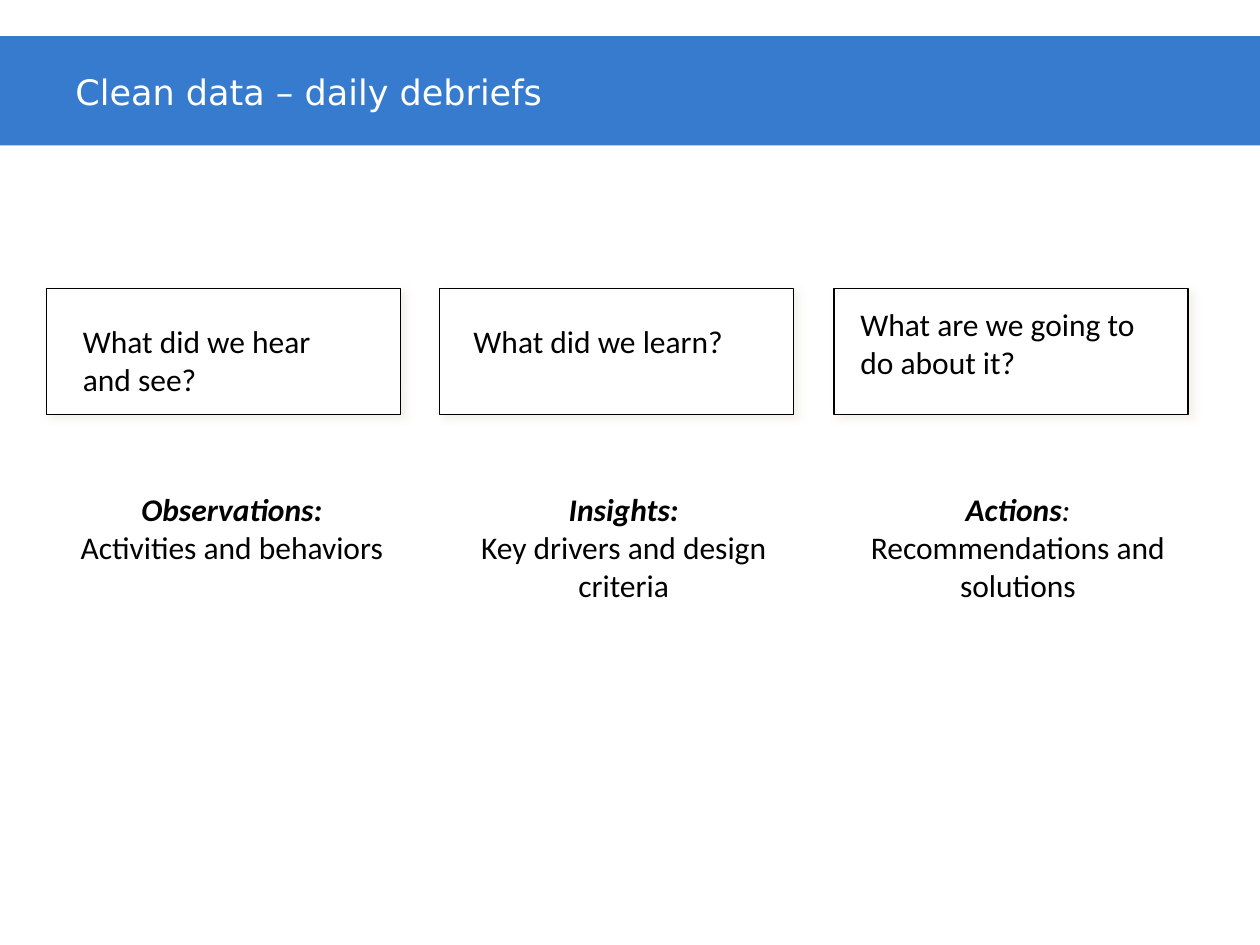
from lxml import etree
from pptx import Presentation
from pptx.dml.color import RGBColor
from pptx.enum import shapes, text
from pptx.oxml import ns
from pptx.util import Pt

COLORS = {"banner": "367BCE", "paper": "FFFFFF", "ink": "000000", "shadow": "EEECE1"}

COLUMNS = [
    {"card": 26.6, "question": "What did we hear and see?",
     "question_box": (40.3, 180.7, 160.6, 51),
     "heading": [("Observations:", True)], "detail": "Activities and behaviors",
     "answer": 38.2},
    {"card": 251.3, "question": "What did we learn?",
     "question_box": (263.5, 180.7, 189.4, 29),
     "heading": [("Insights:", True)], "detail": "Key drivers and design criteria",
     "answer": 262.1},
    {"card": 476.6, "question": "What are we going to do about it?",
     "question_box": (484.6, 170.6, 189.4, 51),
     "heading": [("Actions", True), (":", False)],
     "detail": "Recommendations and solutions", "answer": 487.4},
]


def color(name):
    return RGBColor.from_string(COLORS[name])


def add_panel(slide, box, fill):
    panel = slide.shapes.add_shape(shapes.MSO_SHAPE.RECTANGLE, *map(Pt, box))
    panel.shadow.inherit = False
    panel.fill.solid()
    panel.fill.fore_color.rgb = color(fill)
    panel.line.fill.background()
    return panel


def add_card(slide, left):
    card = add_panel(slide, (left, 164.9, 202.3, 72), "paper")
    card.line.color.rgb = color("ink")
    card.line.width = Pt(0.75)
    effects = card._element.spPr.find(ns.qn("a:effectLst"))
    shadow = etree.SubElement(
        effects, ns.qn("a:outerShdw"), blurRad=str(Pt(5)), dist=str(Pt(3)),
        dir="2700000", algn="tl", rotWithShape="0")
    tint = etree.SubElement(shadow, ns.qn("a:srgbClr"), val=COLORS["shadow"])
    etree.SubElement(tint, ns.qn("a:alpha"), val="75000")


def style_run(run, size=18, face="Calibri", ink="ink", bold=False, italic=False):
    run.font.size = Pt(size)
    run.font.name = face
    run.font.color.rgb = color(ink)
    run.font.bold = bold
    run.font.italic = italic


def add_label(slide, box):
    frame = slide.shapes.add_textbox(*map(Pt, box)).text_frame
    frame.word_wrap = True
    return frame


def add_title(slide, wording):
    title = add_label(slide, (36, 21.6, 648, 61.2))
    title.vertical_anchor = text.MSO_ANCHOR.MIDDLE
    title.text = wording
    style_run(title.paragraphs[0].runs[0], 20, "DejaVu Sans", "paper")


def add_question(slide, box, wording):
    question = add_label(slide, box)
    question.text = wording
    style_run(question.paragraphs[0].runs[0])


def add_answer(slide, left, heading, detail):
    answer = add_label(slide, (left, 276.5, 188.6, 72))
    heading_line = answer.paragraphs[0]
    for wording, bold in heading:
        run = heading_line.add_run()
        run.text = wording
        style_run(run, bold=bold, italic=True)
    detail_line = answer.add_paragraph()
    detail_line.text = detail
    style_run(detail_line.runs[0])
    for line in answer.paragraphs:
        line.alignment = text.PP_ALIGN.CENTER


def main():
    deck = Presentation()
    deck.slide_width, deck.slide_height = Pt(720), Pt(540)
    slide = deck.slides.add_slide(deck.slide_layouts[6])
    add_panel(slide, (0, 20.7, 720, 62.4), "banner")
    add_title(slide, "Clean data – daily debriefs")
    for column in COLUMNS:
        add_card(slide, column["card"])
        add_question(slide, column["question_box"], column["question"])
        add_answer(slide, column["answer"], column["heading"], column["detail"])
    deck.save("out.pptx")


if __name__ == "__main__":
    main()
